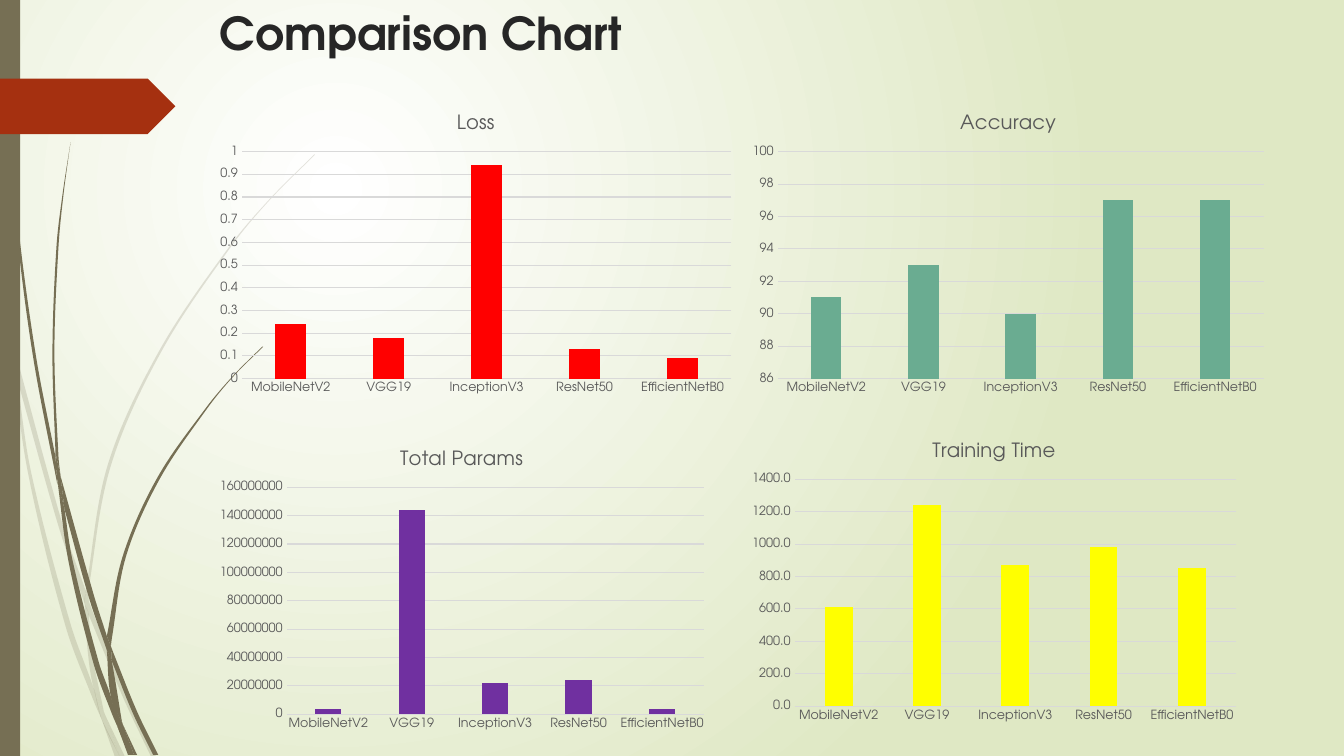
from itertools import pairwise
from math import dist

from lxml import etree
from pptx import Presentation
from pptx.chart.data import CategoryChartData
from pptx.dml.color import RGBColor
from pptx.enum.chart import XL_CHART_TYPE, XL_TICK_MARK
from pptx.enum.shapes import MSO_SHAPE
from pptx.enum.text import MSO_ANCHOR
from pptx.oxml.ns import qn
from pptx.util import Inches, Pt

COLUMN = XL_CHART_TYPE.COLUMN_CLUSTERED
NO_TICK = XL_TICK_MARK.NONE
RECT, ARROW = MSO_SHAPE.RECTANGLE, MSO_SHAPE.PENTAGON
MIDDLE = MSO_ANCHOR.MIDDLE

WIDE, HIGH = 13.33, 7.5
FONT = "TeX Gyre Adventor"
INK, GREY, RULE = "262626", "595959", "D9D9D9"
BROWN, RUST = "766F54", "A53010"
LEFT, MID = 2.08, 7.36  # chart columns
MODELS = ["MobileNetV2", "VGG19", "InceptionV3", "ResNet50", "EfficientNetB0"]

# name, series name, box, values, colour, (low, high, step), number format
CHARTS = [
    ("Loss", "Loss", (LEFT, 0.97, 5.28, 3),
     [0.24, 0.18, 0.94, 0.13, 0.09], "FF0000", (0, 1, 0.1), "General"),
    ("Accuracy", "Accuracy", (MID, 0.97, 5.28, 3),
     [91, 93, 90, 97, 97], "6AAC91", (86, 100, 2), "General"),
    ("Total Params", "Total Params", (LEFT, 4.3, 5, 3),
     [4e6, 144e6, 22e6, 24e6, 4e6], "7030A0", (0, 160e6, 20e6), "General"),
    ("Training Time", "Series 1", (MID, 4.22, 5, 3),
     [610, 1240, 870, 980, 850], "FFFF00", (0, 1400, 200), "0.0"),
]

# Grass blades: the knots of the two smooth edges that bound each piece
PALE = [
    ([(.11, 3.5), (.09, 3.22), (0, 2.82)], [(0, 2.99), (.1, 3.44)]),
    ([(.17, 3.76), (.58, 5.22), (.84, 5.99)], [(.85, 5.86), (.62, 5.2), (.14, 3.45)]),
    ([(.88, 6.1), (1.23, 6.94), (1.5, 7.51)],
     [(1.55, 7.51), (1.27, 6.92), (.92, 6.07), (.88, 5.96)]),
    ([(1.19, 7.51), (1.24, 7.51)], [(1.05, 7.11)]),
    ([(.11, 3.5), (.28, 4.7), (.65, 6.21), (.92, 6.93), (1.01, 7.14)],
     [(.99, 7.07), (.93, 6.83), (.7, 6.19), (.31, 4.69), (.17, 3.76)]),
    ([(.84, 5.99), (.87, 6.46), (.93, 6.83), (1.05, 7.11)],
     [(1.03, 7.06), (.91, 6.46), (.88, 6.08)]),
    ([(.88, 5.96), (.88, 5.84), (1.1, 4.62), (1.6, 3.49), (2.29, 2.45), (2.68, 1.98),
      (3.12, 1.54)],
     [(3.12, 1.53), (2.68, 1.97), (2.28, 2.44), (1.58, 3.48), (1.07, 4.61), (.85, 5.86)]),
    ([(1.01, 7.14), (1.14, 7.51)], [(1.19, 7.51)]),
    ([(.88, 6.1), (.88, 5.96)], [(.85, 5.86), (.84, 5.99), (.88, 6.08)]),
    ([(.93, 6.83), (1.01, 7.14), (1.19, 7.51)], [(1.05, 7.11), (.96, 6.92)]),
]
DARK = [
    ([(.03, 0), (.04, .48), (.07, 1.1), (.17, 2.33), (.33, 3.55), (.57, 4.81)],
     [(.55, 4.53), (.36, 3.55), (.19, 2.32), (.08, 1.09), (.05, .48), (.04, 0)]),
    ([(.64, 5.05), (.88, 5.92), (1.06, 6.45)], [(1.06, 6.31), (.93, 5.9), (.6, 4.72)]),
    ([(1.11, 6.56), (1.32, 7.08), (1.52, 7.49)],
     [(1.57, 7.49), (1.36, 7.06), (1.13, 6.49), (1.1, 6.41)]),
    ([(.57, 4.77), (.68, 5.57), (.93, 6.59), (1.11, 7.08), (1.17, 7.22)],
     [(1.16, 7.17), (1.1, 6.91), (.98, 6.57), (.72, 5.56), (.64, 5.05)]),
    ([(.6, 4.72), (.58, 4.53), (.54, 3.49), (.58, 2.45), (.63, 1.93), (.7, 1.41)],
     [(.7, 1.41), (.62, 1.93), (.56, 2.45), (.52, 3.49), (.55, 4.49)]),
    ([(1.33, 7.49), (1.36, 7.49)], [(1.22, 7.19)]),
    ([(.55, 4.53), (.57, 4.77), (.64, 5.05)], [(.6, 4.72), (.55, 4.49)]),
    ([(1.1, 6.41), (1.11, 6.33), (1.25, 5.52), (1.58, 4.76), (2.05, 4.06), (2.31, 3.74),
      (2.61, 3.44)],
     [(2.6, 3.44), (2.31, 3.73), (2.04, 4.05), (1.56, 4.74), (1.22, 5.51), (1.06, 6.31)]),
    ([(1.17, 7.22), (1.27, 7.49)], [(1.31, 7.49)]),
    ([(1.06, 6.45), (1.1, 6.91), (1.22, 7.19)], [(1.21, 7.16), (1.11, 6.56), (1.09, 6.51)]),
    ([(1.06, 6.45), (1.11, 6.56)], [(1.1, 6.41), (1.06, 6.31)]),
    ([(1.1, 6.91), (1.17, 7.22), (1.3, 7.49)], [(1.33, 7.49), (1.22, 7.19), (1.16, 7.06)]),
]


def tint(hue):
    return RGBColor.from_string(hue)


def inch(box):
    return [Inches(v) for v in box]


def style(font, size, hue, bold=False):
    look = {"name": FONT, "size": Pt(size), "bold": bold}
    for key, val in look.items():
        setattr(font, key, val)
    font.color.rgb = tint(hue)


def paint(shape, hue, alpha=100):
    shape.shadow.inherit = False
    shape.fill.solid()
    shape.fill.fore_color.rgb = tint(hue)
    shape.line.fill.background()
    if alpha < 100:
        node = shape.fill._xPr.find(".//" + qn("a:srgbClr"))
        etree.SubElement(node, qn("a:alpha"), val=str(alpha * 1000))


def backdrop(slide):
    fill = slide.background.fill
    fill.gradient()
    for stop, hue in zip(fill.gradient_stops, ("FFFFFF", "DFE8C4")):
        stop.color.rgb = tint(hue)
    grad = slide.element.find(".//" + qn("a:gradFill"))
    ring = etree.Element(qn("a:path"), path="circle")
    etree.SubElement(ring, qn("a:fillToRect"),
                     l="50000", t="50000", r="100000", b="100000")
    grad.replace(grad.find(qn("a:lin")), ring)


def bend(knots):
    """Two handles and an end for each span of a smooth edge."""
    ends = [knots[0], *knots, knots[-1]]
    lean = []
    for a, b, c in zip(ends, ends[1:], ends[2:]):
        span = (dist(a, b) + dist(b, c)) or 1
        lean.append(((c[0] - a[0]) / span, (c[1] - a[1]) / span))
    out = []
    for (a, u), (b, v) in pairwise(zip(knots, lean)):
        arm = dist(a, b) / 3
        out += [(a[0] + u[0] * arm, a[1] + u[1] * arm),
                (b[0] - v[0] * arm, b[1] - v[1] * arm), b]
    return out


def blade(slide, go, back, alpha):
    join = [go[-1], back[0], back[0]]
    nodes = [inch(p) for p in [go[0], *bend(go), *join, *bend(back)]]
    pen = slide.shapes.build_freeform(*nodes[0])
    pen.add_line_segments(nodes[1:], close=True)
    shape = pen.convert_to_shape()
    # Turn each three straight steps into one curve
    steps = list(shape.element.iter(qn("a:lnTo")))
    for trio in zip(*[iter(steps)] * 3):
        arc = etree.Element(qn("a:cubicBezTo"))
        trio[0].addprevious(arc)
        for step in trio:
            arc.append(step[0])
            step.getparent().remove(step)
    paint(shape, BROWN, alpha)


def side(slide):
    for group, alpha in ((PALE, 20), (DARK, 100)):
        for go, back in group:
            blade(slide, go, back, alpha)
    bars = [(RECT, (0, 0, 0.2, HIGH), BROWN), (ARROW, (0, 0.78, 1.74, 0.55), RUST)]
    for kind, box, hue in bars:
        paint(slide.shapes.add_shape(kind, *inch(box)), hue)


def heading(slide, box, text):
    frame = slide.shapes.add_textbox(*inch(box)).text_frame
    frame.word_wrap = True
    frame.vertical_anchor = MIDDLE
    run = frame.paragraphs[0].add_run()
    run.text = text
    style(run.font, 32.4, INK, True)


def graph(slide, name, label, box, vals, hue, scale, form):
    data = CategoryChartData()
    data.categories = MODELS
    data.add_series(label, vals)
    chart = slide.shapes.add_chart(COLUMN, *inch(box), data).chart
    style(chart.font, 10, "000000")
    chart.has_legend = False
    run = chart.chart_title.text_frame.paragraphs[0].add_run()
    run.text = name
    style(run.font, 14, GREY)
    chart.chart_title.include_in_layout = False

    # Columns
    plot = chart.plots[0]
    for key, val in {"gap_width": 219, "overlap": -27, "vary_by_categories": False}.items():
        setattr(plot, key, val)
    fill = plot.series[0].format.fill
    fill.solid()
    fill.fore_color.rgb = tint(hue)

    # Axes
    cat, axis = chart.category_axis, chart.value_axis
    for each in (cat, axis):
        each.major_tick_mark = each.minor_tick_mark = NO_TICK
        style(each.tick_labels.font, 9, GREY)
    for line in (cat.format.line, axis.major_gridlines.format.line):
        line.color.rgb = tint(RULE)
        line.width = Pt(0.75)
    axis.format.line.fill.background()
    for key, val in zip(("minimum_scale", "maximum_scale", "major_unit"), scale):
        setattr(axis, key, val)
    axis.tick_labels.number_format = form
    axis.tick_labels.number_format_is_linked = False


def main():
    deck = Presentation()
    deck.slide_width, deck.slide_height = Inches(WIDE), Inches(HIGH)
    slide = deck.slides.add_slide(deck.slide_layouts[6])
    backdrop(slide)
    side(slide)
    heading(slide, (LEFT, 0, WIDE - LEFT, 0.65), "Comparison Chart")
    for row in CHARTS:
        graph(slide, *row)
    deck.save("out.pptx")


if __name__ == "__main__":
    main()
